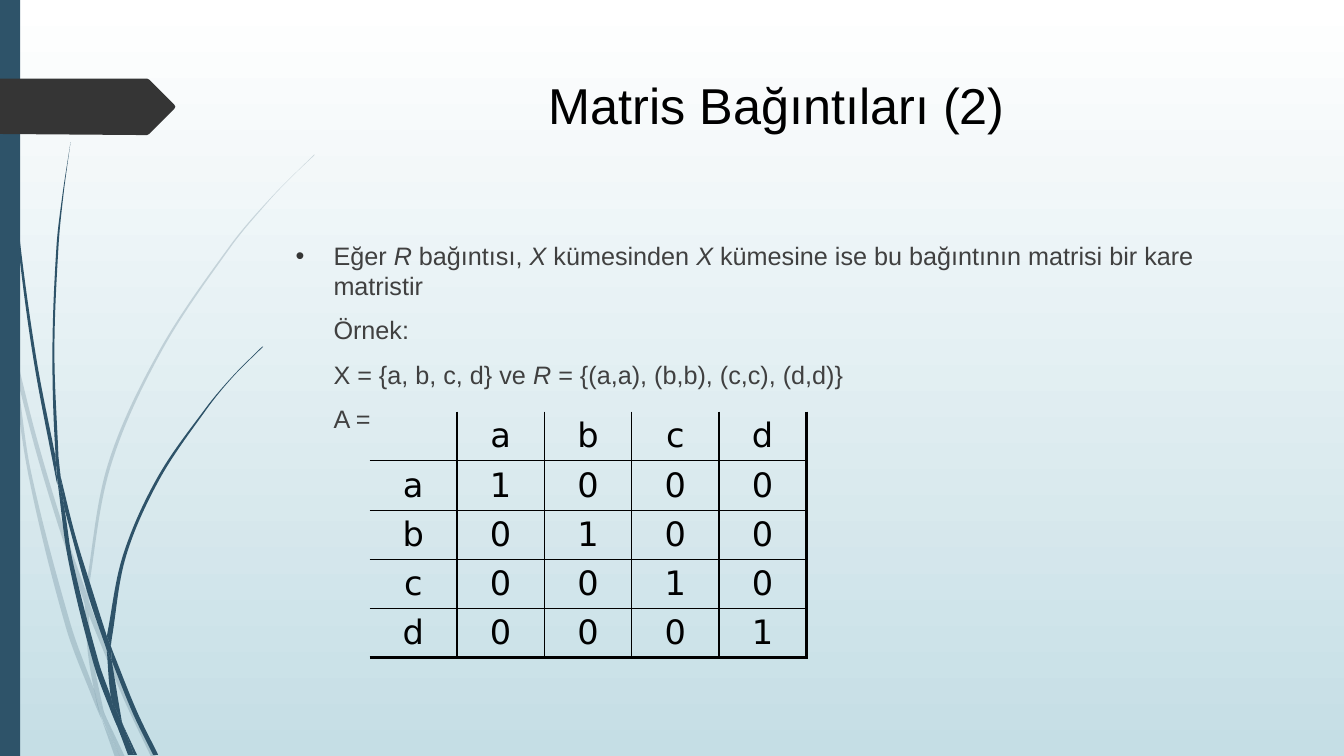
from itertools import chain
from math import dist

from lxml import etree
from pptx import Presentation
from pptx.dml.color import RGBColor
from pptx.enum.shapes import MSO_SHAPE
from pptx.enum.text import MSO_ANCHOR, MSO_AUTO_SIZE, PP_ALIGN
from pptx.oxml.ns import qn
from pptx.util import Pt

RECT = MSO_SHAPE.RECTANGLE
TOP = MSO_ANCHOR.TOP
NO_FIT = MSO_AUTO_SIZE.NONE
LEFT, CENTER = PP_ALIGN.LEFT, PP_ALIGN.CENTER

THEME = {
    "blade": "2E5369", "arrow": "353535", "black": "000000", "body": "404040",
    "sky": "FFFFFF", "ground": "C5DEE5",
    "title_size": 36, "body_size": 18, "cell_size": 24,
    "font": "Arial", "cell_font": "DejaVu Sans",
}
GRID = 0.72


def add_text(p, text, size=THEME["body_size"], color=THEME["body"],
             font=THEME["font"], italic=False, align=LEFT, before=0):
    p.alignment = align
    p.space_before = Pt(before)
    r = p.add_run()
    r.text = text
    r.font.size = Pt(size)
    r.font.name = font
    r.font.italic = italic
    r.font.color.rgb = RGBColor.from_string(color)


def add_outline(s, sides, color, alpha=100):
    pts = [(Pt(x * GRID), Pt(y * GRID)) for x, y in chain(*sides)]
    fb = s.shapes.build_freeform(*pts[0])
    fb.add_line_segments(pts[1:], close=True)
    sp = fb.convert_to_shape()
    sp.shadow.inherit = False
    sp.fill.solid()
    sp.fill.fore_color.rgb = RGBColor.from_string(color)
    sp.line.fill.background()
    if alpha < 100:
        clr = sp.fill._xPr.find(qn("a:solidFill"))[0]
        etree.SubElement(clr, qn("a:alpha"), val=str(alpha * 1000))
    nodes = list(sp._element.iter(qn("a:pt")))
    start = 0
    for side in sides:
        part = nodes[start:start + len(side)]
        start += len(side)
        if len(part) < 3:
            continue
        knots = [(int(n.get("x")), int(n.get("y"))) for n in part]
        ends = [knots[0], *knots, knots[-1]]
        slopes = [[(v - u) / (dist(a, b) + dist(b, c)) for u, v in zip(a, c)]
                  for a, b, c in zip(ends, ends[1:], ends[2:])]
        for i, node in enumerate(part[1:]):
            a, b = knots[i], knots[i + 1]
            reach = dist(a, b) / 3
            bez = node.getparent()
            bez.tag = qn("a:cubicBezTo")
            handles = ([u + m * reach for u, m in zip(a, slopes[i])],
                       [u - m * reach for u, m in zip(b, slopes[i + 1])])
            for k, (x, y) in enumerate(handles):
                bez.insert(k, etree.Element(qn("a:pt"), x=str(round(x)), y=str(round(y))))


prs = Presentation()
prs.slide_width, prs.slide_height = Pt(960), Pt(540)
s = prs.slides.add_slide(prs.slide_layouts[1])

bg = s.background.fill
bg.gradient()
bg.gradient_angle = 270
for stop, key, pos in zip(bg.gradient_stops, ("sky", "ground"), (0, 1)):
    stop.color.rgb = RGBColor.from_string(THEME[key])
    stop.position = pos

PALE_BLADES = [
    [[(0, 282), (9, 322), (11, 350)], [(10, 344), (0, 299)]],
    [[(14, 345), (36, 433), (62, 520), (85, 586)],
     [(84, 599), (58, 522), (36, 449), (17, 376)]],
    [[(88, 596), (92, 607), (127, 692), (155, 751)],
     [(150, 751), (123, 694), (88, 610)]],
    [[(105, 711), (124, 751)], [(119, 751)]],
    [[(11, 350), (17, 376), (31, 469), (70, 619), (93, 683)],
     [(99, 707), (101, 714), (92, 693), (65, 621), (28, 470), (11, 350)]],
    [[(84, 599)], [(88, 610), (91, 646), (103, 706), (105, 711)],
     [(96, 692), (93, 683), (87, 646), (84, 599)]],
    [[(312, 153), (268, 197), (228, 244), (158, 348), (107, 461), (85, 584)],
     [(88, 596), (88, 584), (110, 462), (160, 349), (229, 245), (268, 198),
      (290, 175), (312, 154)]],
    [[(101, 714), (114, 751)], [(119, 751)]],
    [[(85, 586), (88, 596)], [(88, 610), (84, 599)]],
    [[(93, 683), (99, 707), (119, 751)], [(105, 711), (96, 692)]],
]
DARK_BLADES = [
    [[(4, 0), (5, 48), (8, 109), (19, 232), (36, 355), (55, 453)],
     [(57, 481), (56, 477), (33, 355), (17, 233), (7, 110), (4, 48), (3, 0)]],
    [[(60, 472), (75, 532), (93, 590), (106, 631)],
     [(106, 645), (88, 592), (64, 505)]],
    [[(110, 641), (113, 649), (136, 706), (157, 749)],
     [(152, 749), (132, 708), (111, 656)]],
    [[(57, 477), (64, 505), (72, 556), (98, 657), (110, 691)],
     [(116, 717), (117, 722), (111, 708), (93, 659), (68, 557), (57, 477)]],
    [[(70, 141), (62, 193), (56, 245), (52, 349), (55, 449), (60, 472)],
     [(58, 453), (54, 349), (58, 245), (63, 193), (70, 141)]],
    [[(122, 719), (136, 749)], [(133, 749)]],
    [[(55, 449), (60, 472), (64, 505)], [(57, 477), (55, 453)]],
    [[(260, 344), (231, 373), (204, 405), (156, 474), (122, 551), (106, 631)],
     [(110, 641), (111, 633), (125, 552), (158, 476), (205, 406), (231, 374),
      (261, 344)]],
    [[(117, 722), (131, 749)], [(127, 749)]],
    [[(106, 645)], [(111, 656), (121, 716), (122, 719)],
     [(116, 706), (110, 691), (106, 645)]],
    [[(106, 631), (110, 641)], [(111, 656), (106, 645)]],
    [[(110, 691), (117, 722), (130, 749)], [(133, 749), (122, 719), (116, 706)]],
]
for alpha, blades in ((20, PALE_BLADES), (100, DARK_BLADES)):
    for sides in blades:
        add_outline(s, sides, THEME["blade"], alpha)

bar = s.shapes.add_shape(RECT, 0, 0, Pt(14.4), Pt(540))
bar.shadow.inherit = False
bar.fill.solid()
bar.fill.fore_color.rgb = RGBColor.from_string(THEME["blade"])
bar.line.fill.background()

ARROW = [[(0, 78), (146, 78)], [(148, 79), (173, 104)], [(174, 106)],
         [(173, 108), (148, 133)], [(146, 134), (136, 134)], [(0, 133)]]
add_outline(s, ARROW, THEME["arrow"])

title, body = s.shapes.title, s.placeholders[1]
for sp, box in ((title, (204, 49, 702, 100.8)), (body, (204, 168, 702, 297.4))):
    sp.left, sp.top, sp.width, sp.height = map(Pt, box)
    sp.text_frame.word_wrap = True
    sp.text_frame.auto_size = NO_FIT
    sp.text_frame.vertical_anchor = TOP

add_text(title.text_frame.paragraphs[0], "Matris Bağıntıları (2)",
         size=THEME["title_size"], color=THEME["black"], align=CENTER)

LINES = [
    ["Eğer ", "R", " bağıntısı, ", "X", " kümesinden ", "X",
     " kümesine ise bu bağıntının matrisi bir kare matristir"],
    ["Örnek:"],
    ["X = {a, b, c, d} ve ", "R", " = {(a,a), (b,b), (c,c), (d,d)}"],
    ["A ="],
]
tf = body.text_frame
for i, line in enumerate(LINES):
    p = tf.add_paragraph() if i else tf.paragraphs[0]
    for j, text in enumerate(line):
        add_text(p, text, italic=j % 2 == 1, before=10)
    pPr = p._p.get_or_add_pPr()
    pPr.set("marL", str(Pt(27)))
    pPr.set("indent", str(0 if i else Pt(-27)))
    if i:
        etree.SubElement(pPr, qn("a:buNone"))
    else:
        clr = etree.SubElement(pPr, qn("a:buClr"))
        etree.SubElement(clr, qn("a:srgbClr"), val=THEME["arrow"])
        etree.SubElement(pPr, qn("a:buFont"), typeface=THEME["font"])
        etree.SubElement(pPr, qn("a:buChar"), char="•")

NAMES = "abcd"
N = len(NAMES) + 1
matrix = [["", *NAMES]]
matrix += [[x, *("1" if x == y else "0" for y in NAMES)] for x in NAMES]
tbl = s.shapes.add_table(N, N, Pt(264), Pt(294), Pt(62.4 * N), Pt(35 * N)).table
tbl.first_row = tbl.horz_banding = False
for i, row in enumerate(matrix):
    for j, text in enumerate(row):
        cell = tbl.cell(i, j)
        if text:
            add_text(cell.text_frame.paragraphs[0], text, size=THEME["cell_size"],
                     color=THEME["black"], font=THEME["cell_font"], align=CENTER)
        tcPr = cell._tc.get_or_add_tcPr()
        borders = {"L": 1 if j else 0, "R": 2.25 if j == N - 1 else 1,
                   "T": 1 if i else 0, "B": 2.25 if i == N - 1 else 1}
        for side, width in borders.items():
            ln = etree.SubElement(tcPr, qn("a:ln" + side), w=str(Pt(width)))
            fill = etree.SubElement(ln, qn("a:solidFill" if width else "a:noFill"))
            if width:
                etree.SubElement(fill, qn("a:srgbClr"), val=THEME["black"])
        cell.fill.background()

prs.save("out.pptx")
